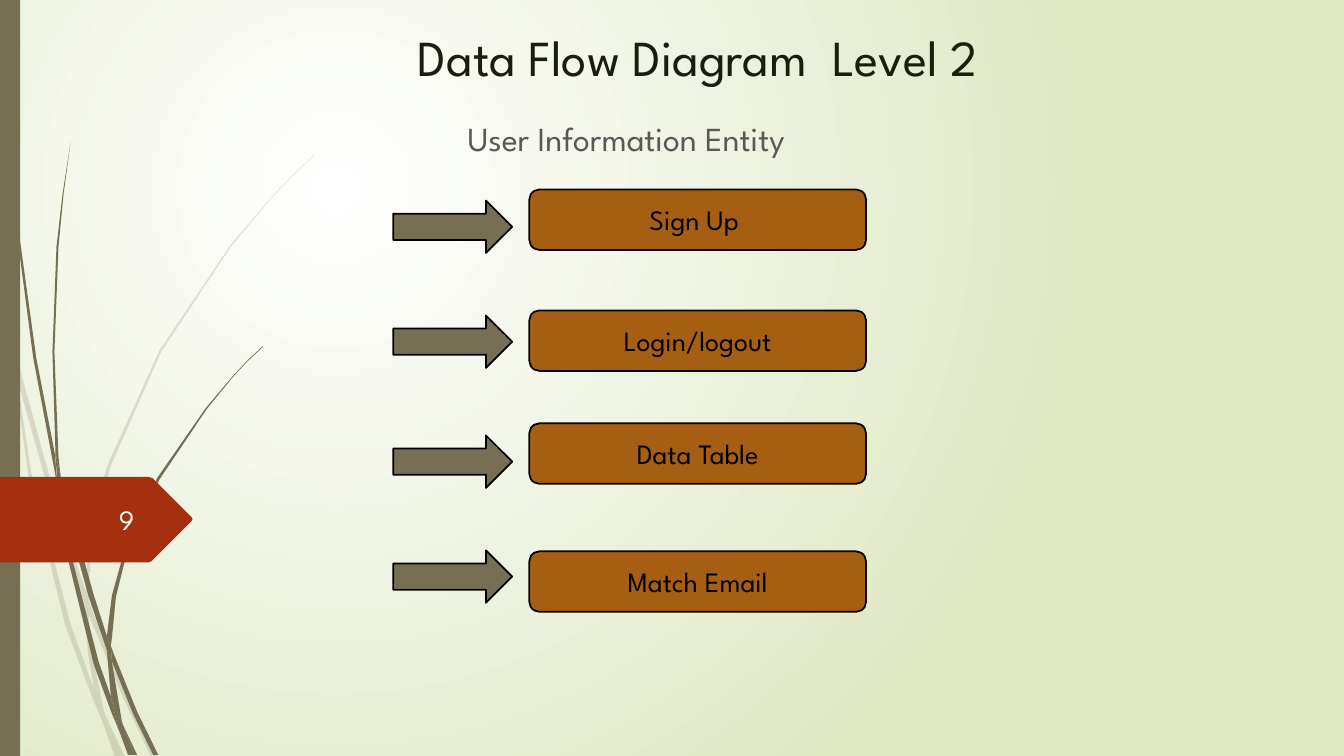
"""Builds the Data Flow Diagram Level 2 slide."""
import lxml.etree
import pptx
import pptx.dml.color
import pptx.enum.shapes
import pptx.enum.text
import pptx.oxml.ns
import pptx.util

PX = 9144
SLIDE_SIZE = (1333, 750)
FONT = "League Spartan"
OLIVE, RED, BROWN, BLACK = "766F54", "A53010", "A65E12", "000000"
BACKGROUND = ("FFFFFF", "DFE8C4")
GLOW = {"l": "50000", "t": "50000", "r": "100000", "b": "100000"}

TITLE = ("Data Flow Diagram  Level 2", (341, 33, 703, 59), 36, "1A1F0D")
SUBTITLE = ("User Information Entity", (277, 112, 688, 579), 24, "595959")
PAGE_NUMBER = ("9", (58, 495, 85, 40), 20, "FEFFFF")

PROCESSES = [
    ("Sign Up ", 188, 199),
    ("Login/logout", 308, 313),
    ("Data Table", 420, 432),
    ("Match Email", 547, 546),
]
BOX_LEFT, BOX_SIZE = 525, (334, 60)
ARROW_LEFT, ARROW_SIZE = 390, (118, 52)
SIDE_BAR = (0, 0, 20, 750)

PALE_GRASS = [
    [(11, 350), (9, 322), (0, 282), (0, 299), (10, 344)],
    [(58, 522), (84, 599), (85, 586), (62, 520), (14, 345), (17, 376)],
    [(92, 607), (88, 596), (88, 610), (123, 694), (150, 751), (155, 751), (127, 692)],
    [(119, 751), (124, 751), (105, 711)],
    [(93, 683), (70, 619), (31, 469), (17, 376), (11, 350), (28, 470), (65, 621),
     (92, 693), (101, 714), (99, 707)],
    [(84, 599), (87, 646), (93, 683), (96, 692), (105, 711), (103, 706), (91, 646),
     (88, 610), (88, 608)],
    [(88, 584), (92, 522), (110, 462), (160, 349), (229, 245), (268, 198), (290, 175),
     (312, 154), (312, 153), (289, 175), (268, 197), (228, 244), (158, 348), (107, 461),
     (89, 522), (85, 584), (85, 586), (88, 596)],
    [(101, 714), (114, 751), (119, 751)],
    [(88, 608), (88, 610), (88, 596), (85, 586), (84, 599)],
    [(96, 692), (93, 683), (99, 707), (101, 714), (119, 751), (105, 711)],
]
DARK_GRASS = [
    [(7, 110), (17, 233), (33, 355), (56, 477), (57, 481), (55, 457), (55, 453),
     (36, 355), (19, 232), (8, 109), (5, 48), (4, 0), (3, 0), (4, 48)],
    [(88, 592), (106, 645), (106, 631), (93, 590), (60, 472), (64, 505)],
    [(113, 649), (110, 641), (111, 656), (132, 708), (152, 749), (157, 749), (136, 706)],
    [(110, 691), (98, 657), (72, 556), (64, 505), (57, 477), (68, 557), (93, 659),
     (111, 708), (117, 722), (116, 717)],
    [(60, 472), (58, 453), (54, 349), (58, 245), (63, 193), (70, 141), (62, 193),
     (56, 245), (52, 349), (55, 449)],
    [(133, 749), (136, 749), (122, 719)],
    [(57, 477), (64, 505), (60, 472), (55, 449), (55, 453)],
    [(111, 633), (115, 592), (125, 552), (158, 476), (205, 406), (231, 374), (245, 359),
     (261, 344), (260, 344), (245, 358), (231, 373), (204, 405), (156, 474), (122, 551),
     (111, 591), (106, 631), (110, 641)],
    [(117, 722), (127, 749), (131, 749)],
    [(106, 645), (110, 691), (116, 706), (122, 719), (121, 716), (111, 656), (109, 651)],
    [(106, 645), (109, 651), (111, 656), (110, 641), (106, 631)],
    [(116, 706), (110, 691), (116, 717), (117, 722), (130, 749), (133, 749), (122, 719)],
]
PAGE_FLAG = [(147, 558), (150, 557), (151, 556), (190, 517), (191, 515), (190, 513),
             (151, 474), (150, 474), (147, 473), (0, 473), (0, 558)]


def color(value):
    return pptx.dml.color.RGBColor.from_string(value)


def add_element(parent, tag, **attributes):
    return lxml.etree.SubElement(parent, pptx.oxml.ns.qn(tag), attributes)


def paint(shape, fill, line=None, opacity=None):
    shape.shadow.inherit = False
    shape.fill.solid()
    shape.fill.fore_color.rgb = color(fill)
    if opacity:
        tint = next(shape.element.iter(pptx.oxml.ns.qn("a:srgbClr")))
        add_element(tint, "a:alpha", val=str(opacity * 1000))
    if line:
        shape.line.color.rgb = color(line)
        shape.line.width = pptx.util.Pt(1.25)
    else:
        shape.line.fill.background()


def add_outline(slide, points, fill, opacity=None):
    builder = slide.shapes.build_freeform(*points[0], scale=PX)
    builder.add_line_segments(points[1:], close=True)
    paint(builder.convert_to_shape(), fill, opacity=opacity)


def add_preset(slide, kind, frame, fill, line=None):
    shape = slide.shapes.add_shape(kind, *(length * PX for length in frame))
    paint(shape, fill, line)
    return shape


def write(shape, text, size, ink, align, anchor):
    frame = shape.text_frame
    frame.word_wrap = True
    frame.vertical_anchor = anchor
    frame.text = text
    para = frame.paragraphs[0]
    para.alignment = align
    font = para.runs[0].font
    font.name, font.size, font.color.rgb = FONT, pptx.util.Pt(size), color(ink)
    return para


def add_label(slide, label, align, anchor):
    text, frame, size, ink = label
    box = slide.shapes.add_textbox(*(length * PX for length in frame))
    return write(box, text, size, ink, align, anchor)


def set_background(slide):
    fill = slide.background.fill
    fill.gradient()
    for stop, value in zip(fill.gradient_stops, BACKGROUND):
        stop.color.rgb = color(value)
    gradient = next(slide.element.iter(pptx.oxml.ns.qn("a:gradFill")))
    gradient.remove(gradient.find(pptx.oxml.ns.qn("a:lin")))
    circle = add_element(gradient, "a:path", path="circle")
    add_element(circle, "a:fillToRect", **GLOW)


def main():
    kinds = pptx.enum.shapes.MSO_SHAPE
    align = pptx.enum.text.PP_ALIGN
    anchor = pptx.enum.text.MSO_ANCHOR
    deck = pptx.Presentation()
    deck.slide_width, deck.slide_height = (length * PX for length in SLIDE_SIZE)
    slide = deck.slides.add_slide(deck.slide_layouts[6])
    set_background(slide)

    for blade in PALE_GRASS:
        add_outline(slide, blade, OLIVE, 20)
    for blade in DARK_GRASS:
        add_outline(slide, blade, OLIVE)
    add_preset(slide, kinds.RECTANGLE, SIDE_BAR, OLIVE)
    add_outline(slide, PAGE_FLAG, RED)

    subtitle = add_label(slide, SUBTITLE, align.CENTER, anchor.TOP)
    subtitle.space_before = pptx.util.Pt(10)
    add_label(slide, PAGE_NUMBER, align.RIGHT, anchor.MIDDLE)
    title = add_label(slide, TITLE, align.CENTER, anchor.TOP)
    title.line_spacing = 0.8

    for name, box_top, arrow_top in PROCESSES:
        add_preset(slide, kinds.RIGHT_ARROW, (ARROW_LEFT, arrow_top, *ARROW_SIZE),
                   OLIVE, BLACK)
        box = add_preset(slide, kinds.FLOWCHART_ALTERNATE_PROCESS,
                         (BOX_LEFT, box_top, *BOX_SIZE), BROWN, BLACK)
        write(box, name, 20, BLACK, align.CENTER, anchor.MIDDLE)

    deck.save("out.pptx")


if __name__ == "__main__":
    main()
